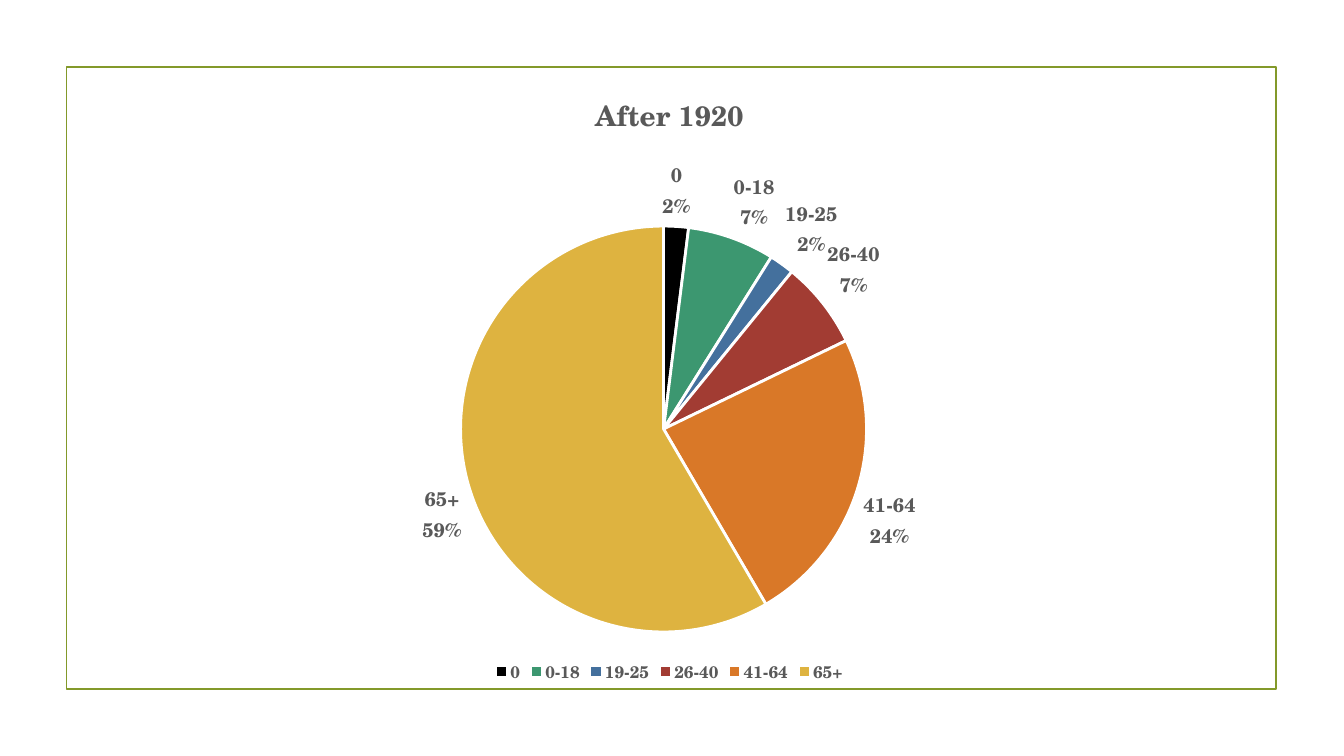
"""Build a slide with a framed pie chart of age groups after 1920."""
from lxml import etree
from pptx import Presentation
from pptx.chart.data import CategoryChartData
from pptx.dml.color import RGBColor
from pptx.enum import chart as kinds, shapes
from pptx.oxml import ns
from pptx.util import Pt

TITLE = "After 1920"
GREY = RGBColor(0x59, 0x59, 0x59)
WHITE = RGBColor(0xFF, 0xFF, 0xFF)
OLIVE = RGBColor(0x83, 0x99, 0x2A)
FONT = "TeX Gyre Schola"
AGES = [
    ("0", 2, RGBColor(0x00, 0x00, 0x00)),
    ("0-18", 7, RGBColor(0x3C, 0x97, 0x70)),
    ("19-25", 2, RGBColor(0x44, 0x70, 0x9D)),
    ("26-40", 7, RGBColor(0xA2, 0x3C, 0x33)),
    ("41-64", 24, RGBColor(0xD9, 0x78, 0x28)),
    ("65+", 59, RGBColor(0xDE, 0xB3, 0x40)),
]
FRAME_BOX = (47.5, 48, 864, 444.25)
CHART_BOX = (159, 47.5, 638.5, 444.25)
PIE_BOX = (329, 161.5, 290, 290)


def style(font, size):
    font.name = FONT
    font.size = Pt(size)
    font.bold = True
    font.color.rgb = GREY


def add_frame(page):
    frame = page.shapes.add_shape(shapes.MSO_SHAPE.RECTANGLE, *map(Pt, FRAME_BOX))
    frame.shadow.inherit = False
    frame.fill.background()
    frame.line.color.rgb = OLIVE
    frame.line.width = Pt(1.25)


def place_pie(chart):
    left, top, width, height = CHART_BOX
    x, y, w, h = PIE_BOX
    area = chart._chartSpace.chart.plotArea
    for old in area.findall(ns.qn("c:layout")):
        area.remove(old)
    layout = etree.Element(ns.qn("c:layout"))
    manual = etree.SubElement(layout, ns.qn("c:manualLayout"))
    settings = {
        "layoutTarget": "inner", "xMode": "edge", "yMode": "edge",
        "x": (x - left) / width, "y": (y - top) / height,
        "w": w / width, "h": h / height,
    }
    for name, value in settings.items():
        etree.SubElement(manual, ns.qn("c:" + name)).set("val", str(value))
    area.insert(0, layout)


def add_pie(page):
    data = CategoryChartData()
    data.categories = [age for age, _, _ in AGES]
    data.add_series(TITLE, [share for _, share, _ in AGES])
    chart = page.shapes.add_chart(
        kinds.XL_CHART_TYPE.PIE, *map(Pt, CHART_BOX), data).chart
    chart.font.name = "Times New Roman"
    chart.font.size = Pt(10)

    chart.has_title = True
    chart.chart_title.include_in_layout = False
    heading = chart.chart_title.text_frame
    heading.text = TITLE
    style(heading.paragraphs[0].font, 20)

    chart.has_legend = True
    chart.legend.position = kinds.XL_LEGEND_POSITION.BOTTOM
    chart.legend.include_in_layout = False
    style(chart.legend.font, 12)

    plot = chart.plots[0]
    plot.vary_by_categories = True
    series = plot.series[0]
    for index, (_, _, color) in enumerate(AGES):
        slice_format = series.points[index].format
        slice_format.fill.solid()
        slice_format.fill.fore_color.rgb = color
        slice_format.line.color.rgb = WHITE
        slice_format.line.width = Pt(2)

    labels = series.data_labels
    labels.show_category_name = True
    labels.show_value = True
    labels.show_percentage = False
    labels.number_format = '0"%"'
    labels.number_format_is_linked = False
    labels.position = kinds.XL_LABEL_POSITION.OUTSIDE_END
    style(labels.font, 14)
    separator = etree.Element(ns.qn("c:separator"))
    separator.text = "\n"
    labels._element.find(ns.qn("c:showBubbleSize")).addnext(separator)
    place_pie(chart)


def main():
    deck = Presentation()
    deck.slide_width, deck.slide_height = Pt(960), Pt(540)
    page = deck.slides.add_slide(deck.slide_layouts[6])
    add_frame(page)
    add_pie(page)
    deck.save("out.pptx")


if __name__ == "__main__":
    main()
